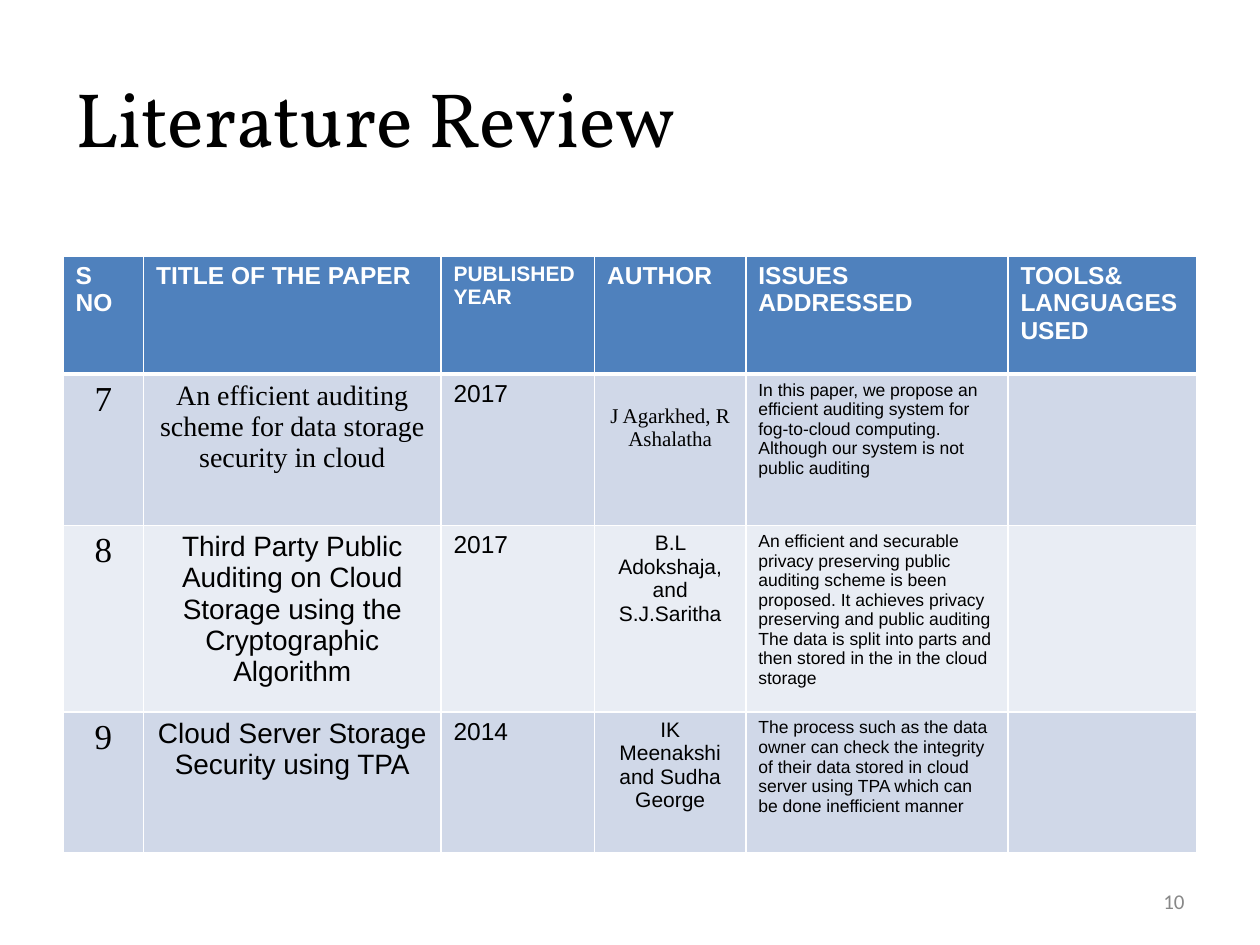
from dataclasses import dataclass

from lxml.etree import SubElement
from pptx import Presentation
from pptx.dml.color import RGBColor
from pptx.enum.text import MSO_ANCHOR as Anchor, PP_ALIGN as Align
from pptx.oxml.ns import qn
from pptx.util import Inches, Pt


@dataclass(frozen=True)
class Theme:
    black: str = "000000"
    white: str = "FFFFFF"
    gray: str = "888888"
    header: str = "4F81BD"
    bands: tuple = ("D0D8E8", "E9EDF4")
    title_font: str = "Vollkorn"
    sans: str = "Arial"
    serif: str = "Times New Roman"
    number_font: str = "Calibri"
    title_size: int = 44
    serial_size: int = 20
    paper_size: int = 16
    body_size: int = 14
    small_size: int = 12
    issue_size: int = 10


THEME = Theme()
COLUMN_WIDTHS = (0.64, 2.36, 1.22, 1.2, 2.08, 1.5)
ROW_HEIGHTS = (0.94, 1.2, 1.48, 1.12)
HEADERS = ("S NO", "TITLE OF THE PAPER", "PUBLISHED YEAR", "AUTHOR",
           "ISSUES ADDRESSED", "TOOLS&\nLANGUAGES USED")
PAPERS = (
    ("7", "An efficient auditing scheme for data storage security in cloud",
     "2017", "J Agarkhed, R Ashalatha",
     "In this paper, we propose an efficient auditing system for fog-to-cloud "
     "computing. Although our system is not public auditing", ""),
    ("8", "Third Party Public Auditing on Cloud Storage using the "
     "Cryptographic Algorithm",
     "2017", "B.L Adokshaja, and S.J.Saritha",
     "An efficient and securable privacy preserving public auditing scheme is "
     "been proposed. It achieves privacy preserving and public auditing The "
     "data is split into parts and then stored in the in the cloud storage", ""),
    ("9", "Cloud Server Storage Security using TPA",
     "2014", "IK Meenakshi and Sudha George",
     "The process such as the data owner can check the integrity of their data "
     "stored in cloud server using TPA which can be done inefficient manner", ""),
)
# Font, size and alignment of each body column
COLUMN_FORMATS = (
    dict(font=THEME.serif, size=THEME.serial_size, align=Align.CENTER),
    dict(font=THEME.sans, size=THEME.paper_size, align=Align.CENTER),
    dict(font=THEME.sans, size=THEME.body_size),
    dict(font=THEME.sans, size=THEME.small_size, align=Align.CENTER),
    dict(font=THEME.sans, size=THEME.issue_size),
    dict(font=THEME.sans, size=THEME.body_size),
)
PAPER, YEAR, AUTHOR = 1, 2, 3


def write_text(frame, text, *, font, size, color=THEME.black, bold=False,
               align=Align.LEFT):
    frame.word_wrap = True
    frame.text = text
    for paragraph in frame.paragraphs:
        paragraph.alignment = align
        paragraph.font.size = Pt(size)
        for run in paragraph.runs:
            run.font.name = font
            run.font.size = Pt(size)
            run.font.bold = bold
            run.font.color.rgb = RGBColor.from_string(color)


def add_text_box(slide, text, left, top, width, height, **text_format):
    shape = slide.shapes.add_textbox(Inches(left), Inches(top),
                                     Inches(width), Inches(height))
    write_text(shape.text_frame, text, **text_format)
    shape.text_frame.vertical_anchor = Anchor.MIDDLE


def style_cell(cell, fill, **border_widths):
    """Set white borders, then the fill, in the order the schema asks for."""
    properties = cell._tc.get_or_add_tcPr()
    for side in ("L", "R", "T", "B"):
        line = SubElement(properties, qn(f"a:ln{side}"),
                          w=str(Pt(border_widths.get(side, 1))))
        solid = SubElement(line, qn("a:solidFill"))
        SubElement(solid, qn("a:srgbClr"), val=THEME.white)
    cell.fill.solid()
    cell.fill.fore_color.rgb = RGBColor.from_string(fill)


def add_review_table(slide):
    table = slide.shapes.add_table(
        len(ROW_HEIGHTS), len(COLUMN_WIDTHS), Inches(0.5), Inches(2.03),
        Inches(sum(COLUMN_WIDTHS)), Inches(sum(ROW_HEIGHTS))).table
    for column, width in zip(table.columns, COLUMN_WIDTHS):
        column.width = Inches(width)
    for row, height in zip(table.rows, ROW_HEIGHTS):
        row.height = Inches(height)

    # Header row
    for index, text in enumerate(HEADERS):
        cell = table.cell(0, index)
        size = THEME.small_size if index == YEAR else THEME.body_size
        write_text(cell.text_frame, text, font=THEME.sans, size=size,
                   color=THEME.white, bold=True)
        style_cell(cell, THEME.header, B=3)

    # One banded row per paper
    for row_index, paper in enumerate(PAPERS, start=1):
        fill = THEME.bands[(row_index - 1) % 2]
        for index, text in enumerate(paper):
            cell = table.cell(row_index, index)
            text_format = dict(COLUMN_FORMATS[index])
            if row_index == 1 and index in (PAPER, AUTHOR):
                text_format["font"] = THEME.serif
            write_text(cell.text_frame, text, **text_format)
            style_cell(cell, fill, T=3 if row_index == 1 else 1)

    # The first author sits one line lower
    table.cell(1, AUTHOR).margin_top = Inches(0.24)


def main():
    presentation = Presentation()
    presentation.slide_width = Inches(10)
    presentation.slide_height = Inches(7.5)
    slide = presentation.slides.add_slide(presentation.slide_layouts[6])

    # Title
    add_text_box(slide, "Literature Review", 0.5, 0.3, 5.58, 1.25,
                 font=THEME.title_font, size=THEME.title_size)
    # Slide number
    add_text_box(slide, "10", 7.17, 6.95, 2.33, 0.4, font=THEME.number_font,
                 size=THEME.small_size, color=THEME.gray, align=Align.RIGHT)
    # Reviewed papers
    add_review_table(slide)

    presentation.save("out.pptx")


if __name__ == "__main__":
    main()
